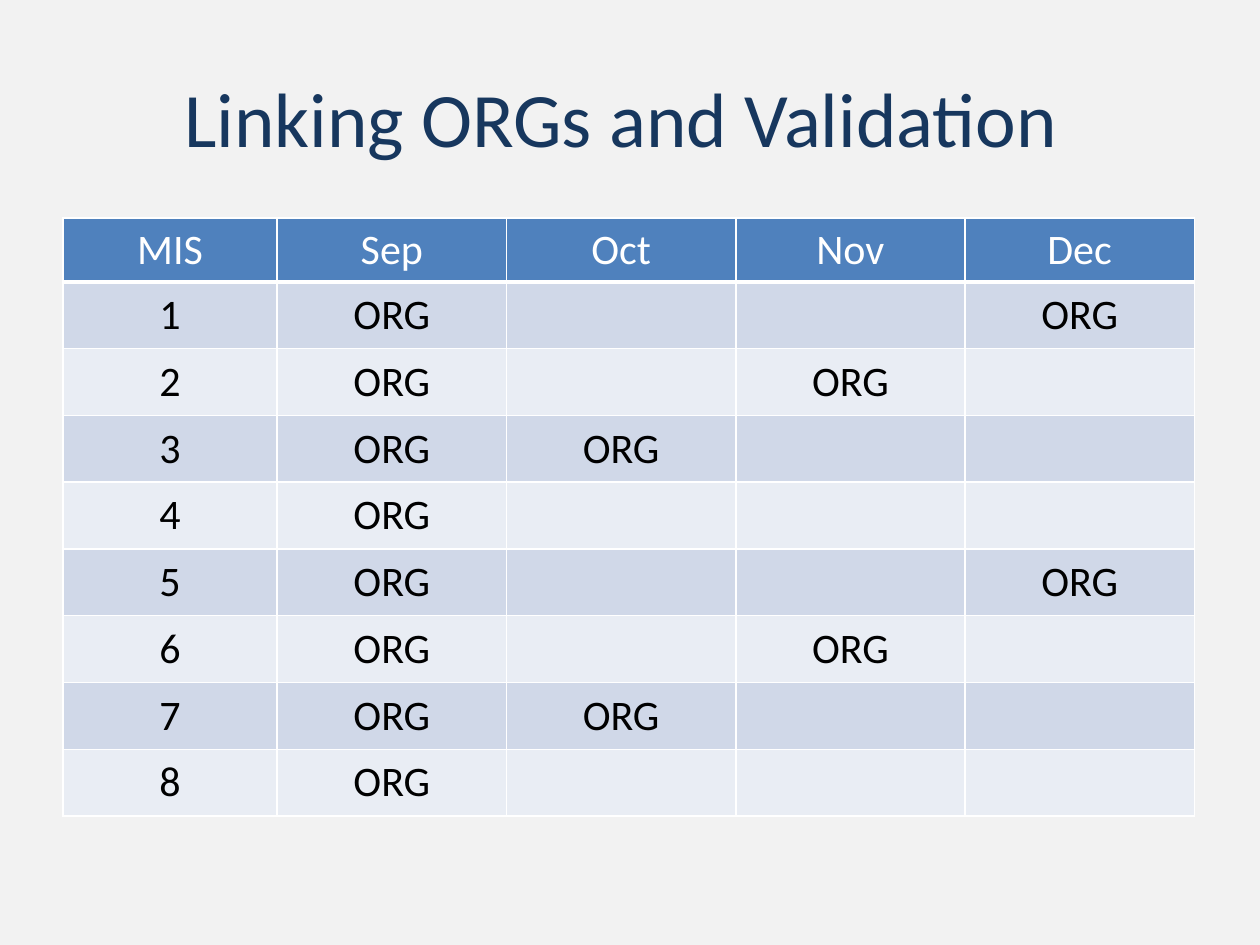
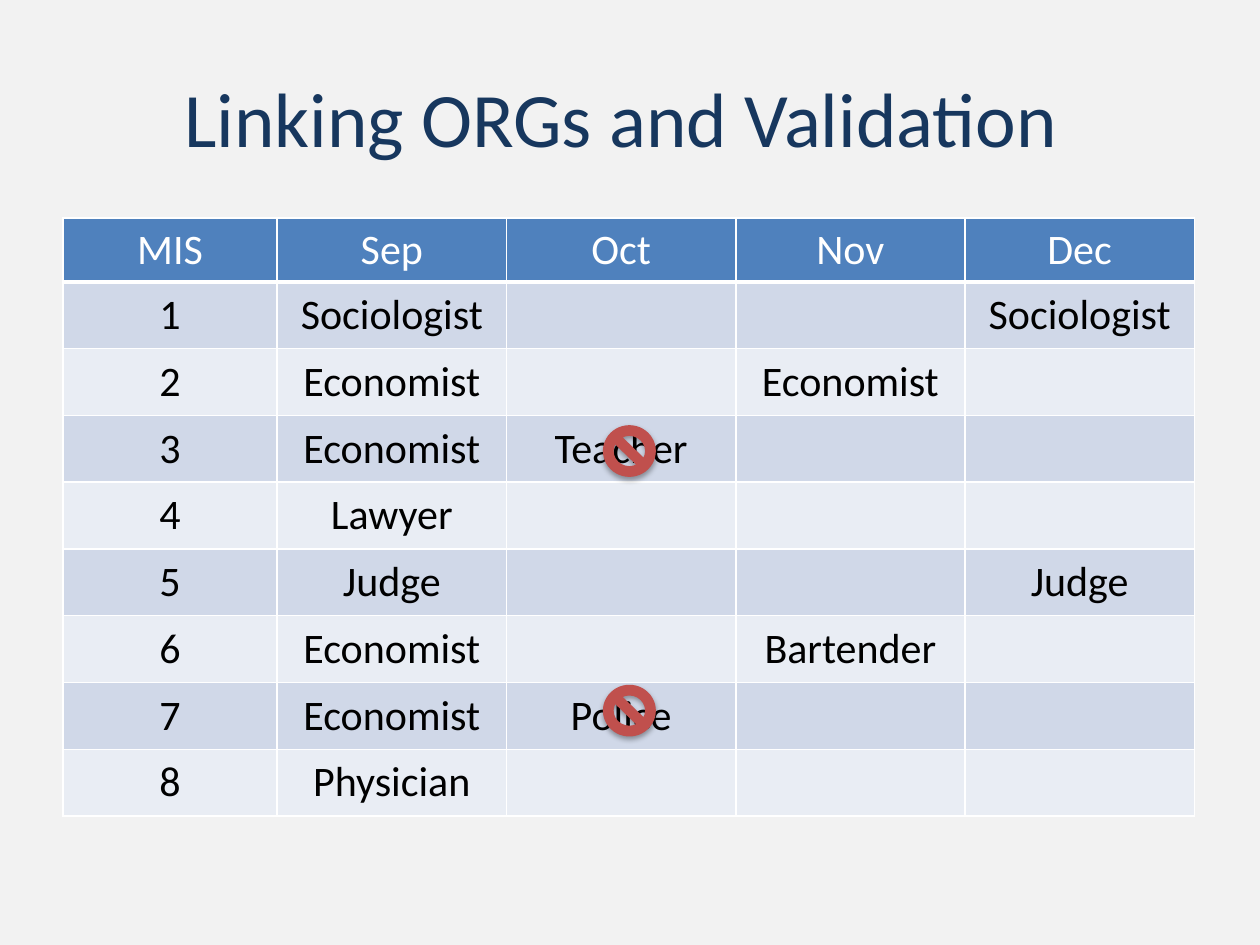
from dataclasses import dataclass
from typing import Any

from lxml.etree import SubElement
from pptx import Presentation
from pptx.dml.color import RGBColor
from pptx.enum.shapes import MSO_SHAPE
from pptx.enum.text import MSO_ANCHOR, PP_ALIGN
from pptx.oxml.ns import qn
from pptx.slide import Slide
from pptx.util import Pt

EMU_PER_PX = 9144
SLIDE_WIDTH, SLIDE_HEIGHT = 1000, 750
TITLE = "Linking ORGs and Validation "
HEADINGS = ["MIS", "Sep", "Oct", "Nov", "Dec"]
COLUMN_WIDTHS = [170] + [182] * 4
HEADER_HEIGHT, ROW_HEIGHT = 50, 53

BACKGROUND = "F2F2F2"
NAVY = "17375E"
HEADER_BLUE = "4F81BD"
BANDS = ["D0D8E8", "E9EDF4"]
RED = "C0504D"
WHITE = "FFFFFF"
BLACK = "000000"

TITLE_FONT = {"name": "Calibri", "size": Pt(44), "bold": False}
CELL_FONT = {"name": "Calibri", "size": Pt(24), "bold": False}


@dataclass(frozen=True)
class Box:
    left: int
    top: int
    width: int
    height: int

    def emu(self) -> list[int]:
        return [px(length) for length in (self.left, self.top, self.width, self.height)]


@dataclass(frozen=True)
class Entry:
    september: str
    later_month: str = ""
    later_text: str = ""

    def cells(self, number: int) -> list[str]:
        later = [self.later_text if month == self.later_month else "" for month in HEADINGS[2:]]
        return [str(number), self.september, *later]


@dataclass(frozen=True)
class SchedulePage:
    entries: list[Entry]
    rejection_tops: tuple[int, ...] = ()


TITLE_BOX = Box(50, 30, 900, 125)
TABLE_BOX = Box(50, 173, sum(COLUMN_WIDTHS), HEADER_HEIGHT + 8 * ROW_HEIGHT)

PAGES = [
    SchedulePage(
        [Entry("ORG", month, "ORG" if month else "") for month in ["Dec", "Nov", "Oct", ""] * 2]
    ),
    SchedulePage(
        [
            Entry("Sociologist", "Dec", "Sociologist"),
            Entry("Economist", "Nov", "Economist"),
            Entry("Economist", "Oct", "Teacher"),
            Entry("Lawyer"),
            Entry("Judge", "Dec", "Judge"),
            Entry("Economist", "Nov", "Bartender"),
            Entry("Economist", "Oct", "Police"),
            Entry("Physician"),
        ],
        rejection_tops=(544, 338),
    ),
]


def px(length: int) -> int:
    return length * EMU_PER_PX


def color(value: str) -> RGBColor:
    return RGBColor.from_string(value)


def paint(fill: Any, value: str) -> None:
    fill.solid()
    fill.fore_color.rgb = color(value)


def set_attributes(target: Any, values: dict[str, Any]) -> None:
    for name, value in values.items():
        setattr(target, name, value)


def write(paragraph: Any, text: str, font_values: dict[str, Any], font_color: str) -> None:
    paragraph.alignment = PP_ALIGN.CENTER
    if text:
        run = paragraph.add_run()
        run.text = text
        set_attributes(run.font, font_values)
        run.font.color.rgb = color(font_color)


def add_color(parent: Any, value: str) -> Any:
    return SubElement(parent, qn("a:srgbClr"), val=value)


def add_borders(cell: Any, bottom_points: int) -> None:
    properties = cell._tc.get_or_add_tcPr()
    for side, points in {"L": 1, "R": 1, "T": 1, "B": bottom_points}.items():
        line = SubElement(properties, qn(f"a:ln{side}"), w=str(Pt(points)))
        add_color(SubElement(line, qn("a:solidFill")), WHITE)


def format_cell(cell: Any, text: str, fill: str, font_color: str, bottom_points: int) -> None:
    margins = {"margin_left": 12, "margin_right": 12, "margin_top": 5, "margin_bottom": 5}
    set_attributes(cell, {name: px(length) for name, length in margins.items()})
    cell.vertical_anchor = MSO_ANCHOR.MIDDLE
    write(cell.text_frame.paragraphs[0], text, CELL_FONT, font_color)
    add_borders(cell, bottom_points)
    paint(cell.fill, fill)


def add_title(slide: Slide) -> None:
    title = slide.shapes.title
    set_attributes(title, dict(zip(("left", "top", "width", "height"), TITLE_BOX.emu())))
    title.text_frame.vertical_anchor = MSO_ANCHOR.MIDDLE
    write(title.text_frame.paragraphs[0], TITLE, TITLE_FONT, NAVY)


def add_schedule(slide: Slide, entries: list[Entry]) -> None:
    rows = [HEADINGS] + [entry.cells(number) for number, entry in enumerate(entries, 1)]
    table = slide.shapes.add_table(len(rows), len(HEADINGS), *TABLE_BOX.emu()).table
    for column, width in zip(table.columns, COLUMN_WIDTHS):
        column.width = px(width)
    for row_index, texts in enumerate(rows):
        is_header = row_index == 0
        row = table.rows[row_index]
        row.height = px(HEADER_HEIGHT if is_header else ROW_HEIGHT)
        fill = HEADER_BLUE if is_header else BANDS[(row_index - 1) % 2]
        for cell, text in zip(row.cells, texts):
            format_cell(cell, text, fill, WHITE if is_header else BLACK, 3 if is_header else 1)


def add_rejection(slide: Slide, top: int) -> None:
    shape = slide.shapes.add_shape(MSO_SHAPE.NO_SYMBOL, *Box(479, top, 41, 40).emu())
    paint(shape.fill, RED)
    shape.line.color.rgb = color(RED)
    shape.line.width = Pt(0.75)
    shape.shadow.inherit = False
    effects = shape._element.spPr.find(qn("a:effectLst"))
    shadow = SubElement(
        effects,
        qn("a:outerShdw"),
        blurRad=str(Pt(3.1)),
        dist=str(Pt(1.8)),
        dir="5400000",
        rotWithShape="0",
    )
    SubElement(add_color(shadow, BLACK), qn("a:alpha"), val="35000")


def main() -> None:
    presentation = Presentation()
    presentation.slide_width = px(SLIDE_WIDTH)
    presentation.slide_height = px(SLIDE_HEIGHT)
    paint(presentation.slide_master.background.fill, BACKGROUND)
    title_only = presentation.slide_layouts.get_by_name("Title Only")
    for page in PAGES:
        slide = presentation.slides.add_slide(title_only)
        add_title(slide)
        add_schedule(slide, page.entries)
        for top in page.rejection_tops:
            add_rejection(slide, top)
    presentation.save("out.pptx")


if __name__ == "__main__":
    main()
